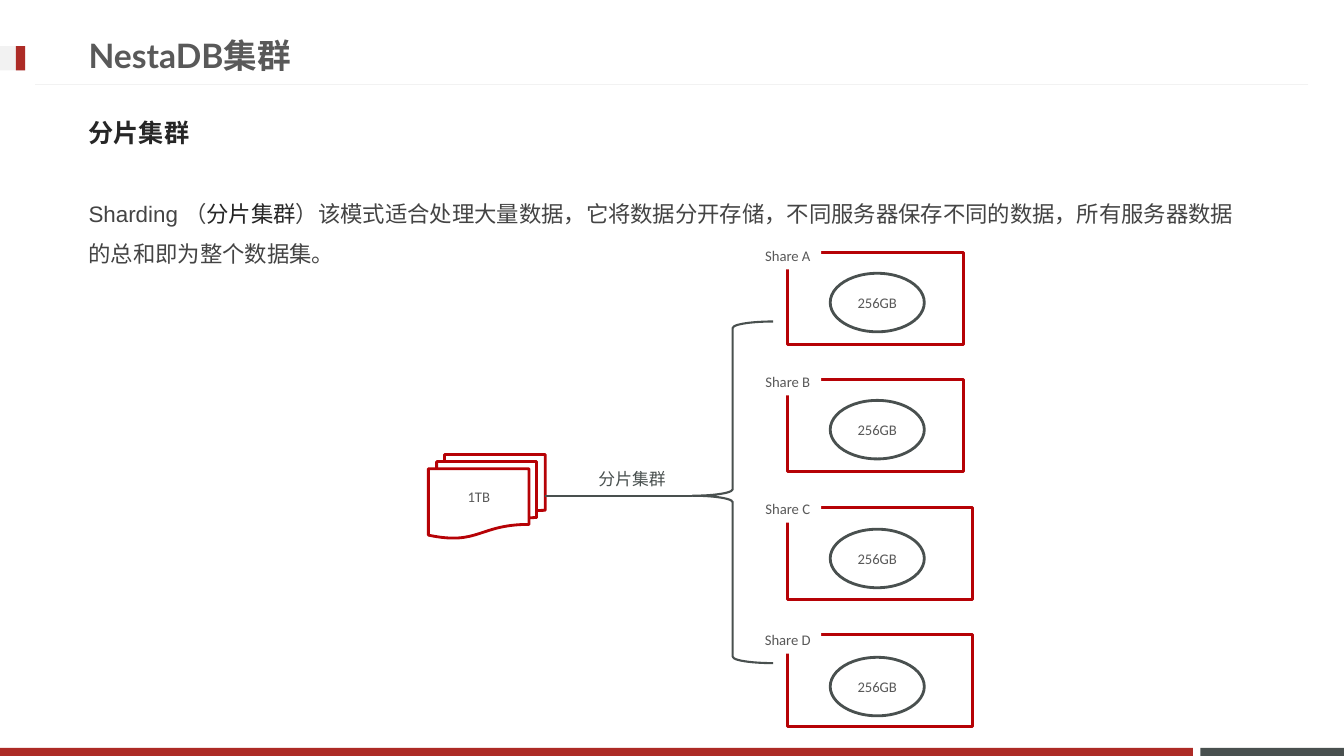
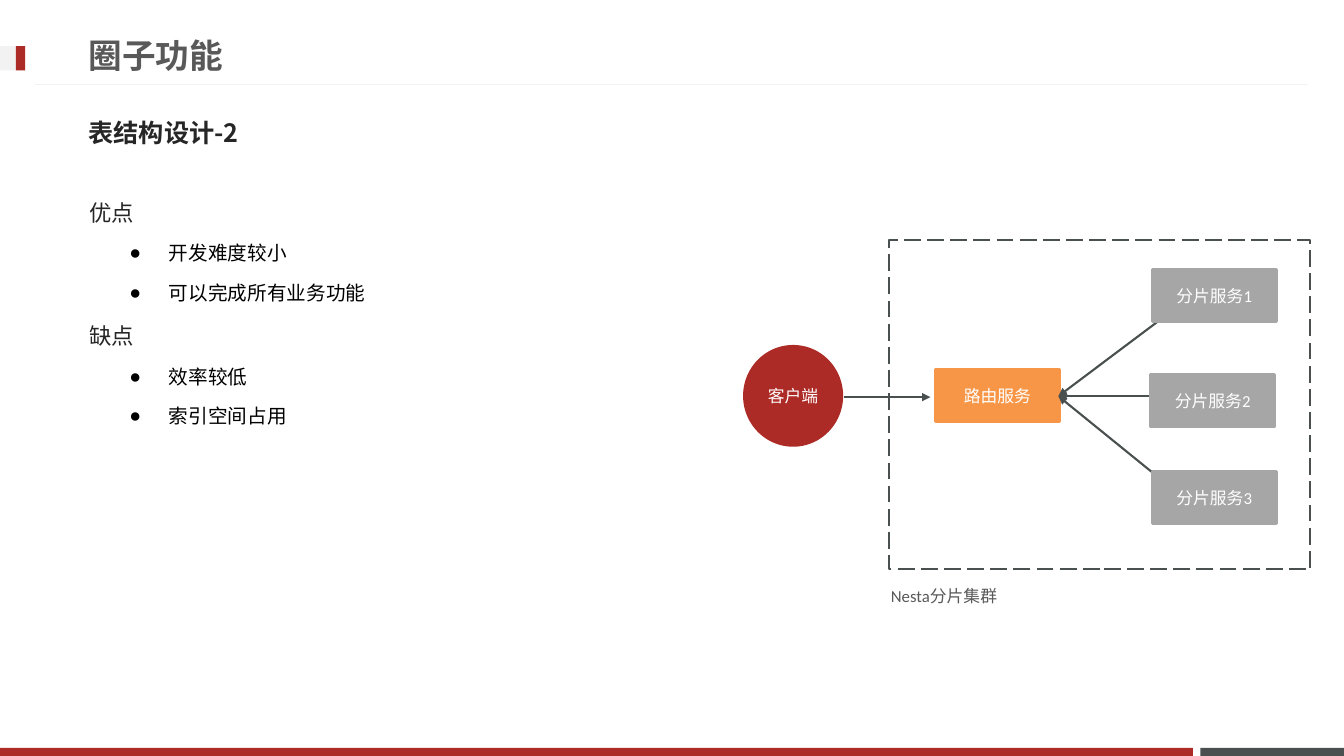
from typing import NamedTuple, Optional

from lxml import etree
from pptx import Presentation
from pptx import util as u
from pptx.dml import color as c
from pptx.enum import dml, shapes, text
from pptx.oxml import ns

RED, SLATE, PALE, WHITE = "AD2B26", "49504F", "F2F2F2", "FFFFFF"
OUTLINE_RED, ORANGE, GREY = "B60206", "F79646", "A6A6A6"
TITLE_GREY, INK, BODY_GREY, BLACK = "595959", "262626", "444444", "000000"
CJK = "Noto Sans CJK JP"
RECT, OVAL = shapes.MSO_SHAPE.RECTANGLE, shapes.MSO_SHAPE.OVAL
CENTER, MIDDLE = text.PP_ALIGN.CENTER, text.MSO_ANCHOR.MIDDLE


class Box(NamedTuple):
    left: float
    top: float
    width: float
    height: float


class Band(NamedTuple):
    box: Box
    color: str


class Shard(NamedTuple):
    label: str
    frame: Box
    label_top: float
    disk_top: float


class Service(NamedTuple):
    label: str
    left: float
    top: float
    arrow_y: float


class Point(NamedTuple):
    heading: str
    details: tuple[str, ...]


BANDS = (
    Band(Box(857.5, 534.2, 102.5, 5.8), SLATE),
    Band(Box(0, 534.2, 852, 5.8), RED),
    Band(Box(0, 33, 18, 17.4), PALE),
    Band(Box(11.4, 33, 6.6, 17.4), RED),
)
SHARDS = (
    Shard("Share A", Box(562.3, 180.5, 126, 65.7), 172.5, 195.2),
    Shard("Share B", Box(562.3, 271.4, 126, 65.7), 262.5, 286),
    Shard("Share C", Box(562.3, 362.3, 132.5, 65.7), 353.3, 378),
    Shard("Share D", Box(562.3, 453.2, 132.5, 65.7), 447, 469.5),
)
SERVICES = (
    Service("分片服务1", 823, 192.3, 213.8),
    Service("分片服务2", 822, 267.6, 283),
    Service("分片服务3", 823, 336.8, 357.8),
)
POINTS = (
    Point("优点", ("开发难度较小", "可以完成所有业务功能")),
    Point("缺点", ("效率较低", "索引空间占用")),
)


def rgb(color: str) -> c.RGBColor:
    return c.RGBColor.from_string(color)


def write(paragraph, words: str, *, size: float, color: str,
          font: str = "Calibri", bold: bool = False, align=None) -> None:
    """Append a formatted run to the paragraph."""
    run = paragraph.add_run()
    run.text = words
    run.font.size = u.Pt(size)
    run.font.name = font
    run.font.bold = bold
    run.font.color.rgb = rgb(color)
    east_asian = etree.Element(ns.qn("a:ea"), typeface=CJK)
    run.font._element.find(ns.qn("a:latin")).addnext(east_asian)
    if align is not None:
        paragraph.alignment = align


def add_shape(slide, box: Box, kind=RECT, *, fill: Optional[str] = None,
              line: Optional[str] = None, width: float = 2):
    shape = slide.shapes.add_shape(kind, *map(u.Pt, box))
    shape.shadow.inherit = False
    if fill:
        shape.fill.solid()
        shape.fill.fore_color.rgb = rgb(fill)
    else:
        shape.fill.background()
    if line:
        shape.line.color.rgb = rgb(line)
        shape.line.width = u.Pt(width)
    else:
        shape.line.fill.background()
    return shape


def add_line(slide, start: tuple[float, float], end: tuple[float, float], *,
             color: str = SLATE, width: float = 1.5, arrow: bool = False) -> None:
    line = slide.shapes.add_connector(
        shapes.MSO_CONNECTOR.STRAIGHT, *map(u.Pt, (*start, *end)))
    line.line.color.rgb = rgb(color)
    line.line.width = u.Pt(width)
    properties = line._element.spPr
    if arrow:
        etree.SubElement(properties.find(ns.qn("a:ln")), ns.qn("a:tailEnd"),
                         type="triangle")
    etree.SubElement(properties, ns.qn("a:effectLst"))


def add_text_box(slide, box: Box, anchor=text.MSO_ANCHOR.TOP):
    """Return the wrapping text frame of a new text box."""
    frame = slide.shapes.add_textbox(*map(u.Pt, box)).text_frame
    frame.word_wrap = True
    frame.vertical_anchor = anchor
    return frame


def label_shape(shape, words: str, *, size: float = 12, color: str = WHITE,
                font: str = "Calibri") -> None:
    """Centre one unwrapped line of text in the shape."""
    frame = shape.text_frame
    frame.word_wrap = False
    frame.vertical_anchor = MIDDLE
    write(frame.paragraphs[0], words, size=size, color=color, font=font, align=CENTER)


def start_slide(deck, title: str, subtitle: str):
    """Add a blank slide with the shared bands, title and subtitle."""
    slide = deck.slides.add_slide(deck.slide_layouts[6])
    for band in BANDS:
        add_shape(slide, band.box, fill=band.color)
    add_line(slide, (934.6, 60.5), (25.2, 60.5), color=PALE, width=0.75)
    heading = add_text_box(slide, Box(56.2, 19, 690.5, 41), MIDDLE)
    write(heading.paragraphs[0], title, size=24, color=TITLE_GREY, font="Lato", bold=True)
    topic = add_text_box(slide, Box(56.2, 74.2, 846.7, 41), MIDDLE)
    write(topic.paragraphs[0], subtitle, size=18, color=INK, font=CJK, bold=True)
    return slide


def draw_shard(slide, shard: Shard) -> None:
    add_shape(slide, shard.frame, line=OUTLINE_RED)
    tag = add_shape(slide, Box(539, shard.label_top, 47.5, 20), fill=WHITE)
    label_shape(tag, shard.label, size=10.5, color=TITLE_GREY)
    disk = add_shape(slide, Box(593, shard.disk_top, 67.2, 41.8), OVAL, line=SLATE)
    label_shape(disk, "256GB", size=10.5, color=TITLE_GREY)


def build_sharding(deck) -> None:
    slide = start_slide(deck, "NestaDB集群", "分片集群")
    summary = add_text_box(slide, Box(56.2, 129.6, 846.7, 65.5)).paragraphs[0]
    summary.line_spacing = 1.5
    write(summary, "Sharding （", size=16, color=BODY_GREY, font="Arial")
    write(summary, "分片集群", size=16, color=INK, font="Lato")
    write(summary, "）该模式适合处理大量数据，它将数据分开存储，不同服务器保存不同的数据，"
          "所有服务器数据的总和即为整个数据集。", size=16, color=BODY_GREY, font="Arial")
    for shard in SHARDS:
        draw_shard(slide, shard)

    add_shape(slide, Box(306, 324.7, 83.5, 59.8),
              shapes.MSO_SHAPE.FLOWCHART_MULTIDOCUMENT, line=OUTLINE_RED)
    total = add_text_box(slide, Box(326.9, 344.9, 37.4, 20))
    write(total.paragraphs[0], "1TB", size=10.5, color=TITLE_GREY)
    brace = add_shape(slide, Box(494.6, 229.7, 57.6, 244),
                      shapes.MSO_SHAPE.LEFT_BRACE, line=SLATE, width=1.5)
    brace.adjustments[0], brace.adjustments[1] = 0.08, 0.51
    add_line(slide, (389.5, 354.2), (494.6, 354.2))
    caption = add_text_box(slide, Box(418, 327.6, 67, 28.8), MIDDLE)
    write(caption.paragraphs[0], "分片集群", size=12, color=SLATE, align=CENTER)


def add_bullet(paragraph) -> None:
    properties = paragraph._p.get_or_add_pPr()
    properties.set("marL", str(u.Pt(56.7)))
    properties.set("indent", str(u.Pt(-28.35)))
    etree.SubElement(properties, ns.qn("a:buFont"), typeface="Arial")
    etree.SubElement(properties, ns.qn("a:buChar"), char="●")


def write_points(slide) -> None:
    frame = add_text_box(slide, Box(56.9, 128.9, 447, 332))
    lines = [(words, level) for point in POINTS
             for words, level in ((point.heading, 0), *((d, 1) for d in point.details))]
    for index, (words, level) in enumerate(lines):
        paragraph = frame.add_paragraph() if index else frame.paragraphs[0]
        size = 14 if level else 16
        if level:
            add_bullet(paragraph)
        paragraph.line_spacing = 1.5
        if index:
            paragraph.space_before = u.Pt(size * 0.2)
        write(paragraph, words, size=size, color=BLACK if level else INK, font="Lato")


def build_circle(deck) -> None:
    slide = start_slide(deck, "圈子功能", "表结构设计-2")
    write_points(slide)

    add_line(slide, (602.6, 283.7), (664.6, 283.7), arrow=True)
    client = add_shape(slide, Box(530.8, 246.4, 71.5, 72.7), OVAL, fill=RED)
    label_shape(client, "客户端", font="Lato")
    router = add_shape(slide, Box(668.2, 264, 88.6, 37.4), fill=ORANGE, line=ORANGE)
    label_shape(router, "路由服务")
    for service in SERVICES:
        add_line(slide, (848.2, service.arrow_y), (756, 283), arrow=True)
    cluster = add_shape(slide, Box(635, 171.4, 301, 235.4), line=SLATE, width=1.5)
    cluster.line.dash_style = dml.MSO_LINE.LONG_DASH
    caption = add_text_box(slide, Box(629.3, 414.7, 191.5, 21.6))
    write(caption.paragraphs[0], "Nesta分片集群", size=12, color=TITLE_GREY)
    for service in SERVICES:
        node = add_shape(slide, Box(service.left, service.top, 88.6, 37.4),
                         fill=GREY, line=GREY)
        label_shape(node, service.label)


def main() -> None:
    deck = Presentation()
    deck.slide_width, deck.slide_height = u.Pt(960), u.Pt(540)
    build_sharding(deck)
    build_circle(deck)
    deck.save("out.pptx")


if __name__ == "__main__":
    main()
